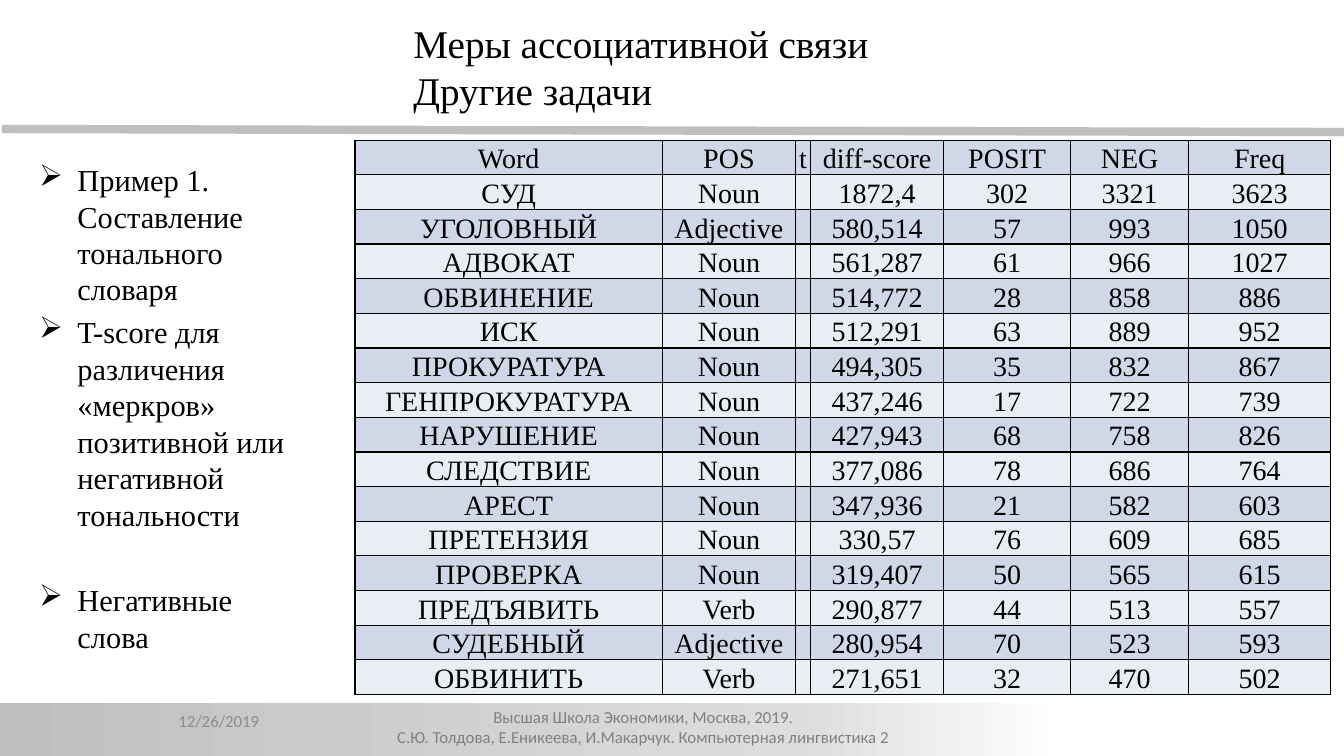
from copy import deepcopy

from pptx import Presentation
from pptx.dml.color import RGBColor
from pptx.enum.shapes import MSO_CONNECTOR, MSO_SHAPE
from pptx.enum.text import MSO_ANCHOR as ANCHOR, MSO_AUTO_SIZE as FIT, PP_ALIGN as ALIGN
from pptx.oxml import parse_xml
from pptx.oxml.ns import nsdecls, qn
from pptx.oxml.xmlchemy import OxmlElement
from pptx.util import Inches, Pt

SERIF, SANS = "Times New Roman", "Calibri"
COLUMN_WIDTHS = [3.05, 1.32, 0.15, 1.32, 1.26, 1.17, 1.41]
ROW_HEIGHT = 0.34
BANDS = ["D0D8E8", "E9EDF4"]
HEADER = ["Word", "POS", "t", "diff-score", "POSIT", "NEG", "Freq"]
WORDS = [
    ("СУД", "Noun", "1872,4", 302, 3321, 3623),
    ("УГОЛОВНЫЙ", "Adjective", "580,514", 57, 993, 1050),
    ("АДВОКАТ", "Noun", "561,287", 61, 966, 1027),
    ("ОБВИНЕНИЕ", "Noun", "514,772", 28, 858, 886),
    ("ИСК", "Noun", "512,291", 63, 889, 952),
    ("ПРОКУРАТУРА", "Noun", "494,305", 35, 832, 867),
    ("ГЕНПРОКУРАТУРА", "Noun", "437,246", 17, 722, 739),
    ("НАРУШЕНИЕ", "Noun", "427,943", 68, 758, 826),
    ("СЛЕДСТВИЕ", "Noun", "377,086", 78, 686, 764),
    ("АРЕСТ", "Noun", "347,936", 21, 582, 603),
    ("ПРЕТЕНЗИЯ", "Noun", "330,57", 76, 609, 685),
    ("ПРОВЕРКА", "Noun", "319,407", 50, 565, 615),
    ("ПРЕДЪЯВИТЬ", "Verb", "290,877", 44, 513, 557),
    ("СУДЕБНЫЙ", "Adjective", "280,954", 70, 523, 593),
    ("ОБВИНИТЬ", "Verb", "271,651", 32, 470, 502),
]
# Each point with the space before it, in points
POINTS = [
    ("Пример 1. Составление тонального словаря", 0),
    ("T-score для различения «меркров» позитивной или негативной тональности", 4.5),
    ("Негативные слова", 35),
]
FOOTER = [
    "Высшая Школа Экономики, Москва, 2019.",
    "С.Ю. Толдова, Е.Еникеева, И.Макарчук. Компьютерная лингвистика 2",
]


def rgb(color):
    return RGBColor.from_string(color)


def apply(target, formats):
    for name, value in formats.items():
        setattr(target, name, value)


def write(paragraph, text, size, font=SERIF, color="000000", align=ALIGN.LEFT):
    paragraph.alignment = align
    run = paragraph.add_run()
    run.text = text
    apply(run.font, {"size": Pt(size), "name": font})
    run.font.color.rgb = rgb(color)


def paragraphs(frame, count):
    return [frame.paragraphs[0]] + [frame.add_paragraph() for _ in range(count - 1)]


def add_text(slide, place, lines, **style):
    frame = slide.shapes.add_textbox(*map(Inches, place)).text_frame
    frame.word_wrap = True
    for paragraph, line in zip(paragraphs(frame, len(lines)), lines):
        write(paragraph, line, **style)
    return frame


def add_title(slide, place, lines):
    title = slide.shapes.title
    apply(title, dict(zip(("left", "top", "width", "height"), map(Inches, place))))
    frame = title.text_frame
    apply(frame, {"word_wrap": True, "vertical_anchor": ANCHOR.TOP,
                  "auto_size": FIT.SHAPE_TO_FIT_TEXT})
    for paragraph, line in zip(paragraphs(frame, len(lines)), lines):
        write(paragraph, line, 28)


def add_rule(slide, start, end):
    rule = slide.shapes.add_connector(MSO_CONNECTOR.STRAIGHT, *map(Inches, start + end))
    rule.line.color.rgb = rgb("BFBFBF")
    rule.line.width = Pt(6)
    rule._element.spPr.append(OxmlElement("a:effectLst"))


def add_footer_band(slide, place):
    band = slide.shapes.add_shape(MSO_SHAPE.RECTANGLE, *map(Inches, place))
    band.shadow.inherit = False
    band.line.fill.background()
    band.fill.gradient()
    band.fill.gradient_angle = 0
    first_stop = band._element.spPr.find(".//" + qn("a:gs"))
    first_stop.addnext(deepcopy(first_stop))
    shades = [(0, "BFBFBF"), (0.75, "DDDDDD"), (1, "FFFFFF")]
    for stop, (position, color) in zip(band.fill.gradient_stops, shades):
        stop.position = position
        stop.color.rgb = rgb(color)


def add_points(slide, place, points):
    frame = slide.shapes.add_textbox(*map(Inches, place)).text_frame
    frame.word_wrap = True
    for paragraph, (text, space) in zip(paragraphs(frame, len(points)), points):
        properties = paragraph._p.get_or_add_pPr()
        properties.set("marL", str(Inches(0.38)))
        properties.set("indent", str(-Inches(0.38)))
        bullet = OxmlElement("a:buChar")
        bullet.set("char", "➢")
        properties.append(bullet)
        if space:
            paragraph.space_before = Pt(space)
        write(paragraph, text, 21.7)


def add_borders(cell):
    properties = cell._tc.get_or_add_tcPr()
    for index, side in enumerate("LRTB"):
        properties.insert(index, parse_xml(
            f'<a:ln{side} {nsdecls("a")} w="{Pt(1)}"><a:solidFill>'
            f'<a:srgbClr val="000000"/></a:solidFill></a:ln{side}>'))


def add_word_table(slide, left, top, rows):
    table = slide.shapes.add_table(
        len(rows), len(COLUMN_WIDTHS), Inches(left), Inches(top),
        Inches(sum(COLUMN_WIDTHS)), Inches(ROW_HEIGHT * len(rows))).table
    apply(table, {"first_row": False, "horz_banding": False})
    for column, width in zip(table.columns, COLUMN_WIDTHS):
        column.width = Inches(width)
    margin = Inches(0.01)
    for r, row in enumerate(rows):
        table.rows[r].height = Inches(ROW_HEIGHT)
        for c, value in enumerate(row):
            cell = table.cell(r, c)
            apply(cell, {"margin_left": margin, "margin_right": margin, "margin_top": margin,
                         "margin_bottom": 0, "vertical_anchor": ANCHOR.BOTTOM})
            cell.fill.solid()
            cell.fill.fore_color.rgb = rgb(BANDS[r % 2])
            add_borders(cell)
            if value != "":
                write(cell.text_frame.paragraphs[0], str(value), 20, align=ALIGN.CENTER)


def main():
    deck = Presentation()
    deck.slide_width, deck.slide_height = Inches(13.33), Inches(7.5)
    slide = deck.slides.add_slide(deck.slide_layouts[5])
    add_rule(slide, (0.02, 1.28), (13.35, 1.31))
    add_footer_band(slide, (-0.01, 6.97, 10.56, 0.57))
    add_text(slide, (2.54, 6.96, 7.68, 0.45), FOOTER,
             size=12, font=SANS, color="808080", align=ALIGN.CENTER)
    add_points(slide, (0.29, 1.55, 2.76, 4.57), POINTS)
    date = add_text(slide, (1.67, 6.95, 2.33, 0.4), ["12/26/2019"],
                    size=12, font=SANS, color="8C8C8C")
    date.vertical_anchor = ANCHOR.MIDDLE
    add_title(slide, (4, 0.14, 5.83, 1.04), ["Меры ассоциативной связи", "Другие задачи"])
    # The "t" column holds only its heading
    rows = [HEADER] + [(*entry[:2], "", *entry[2:]) for entry in WORDS]
    add_word_table(slide, 3.52, 1.39, rows)
    deck.save("out.pptx")


if __name__ == "__main__":
    main()
